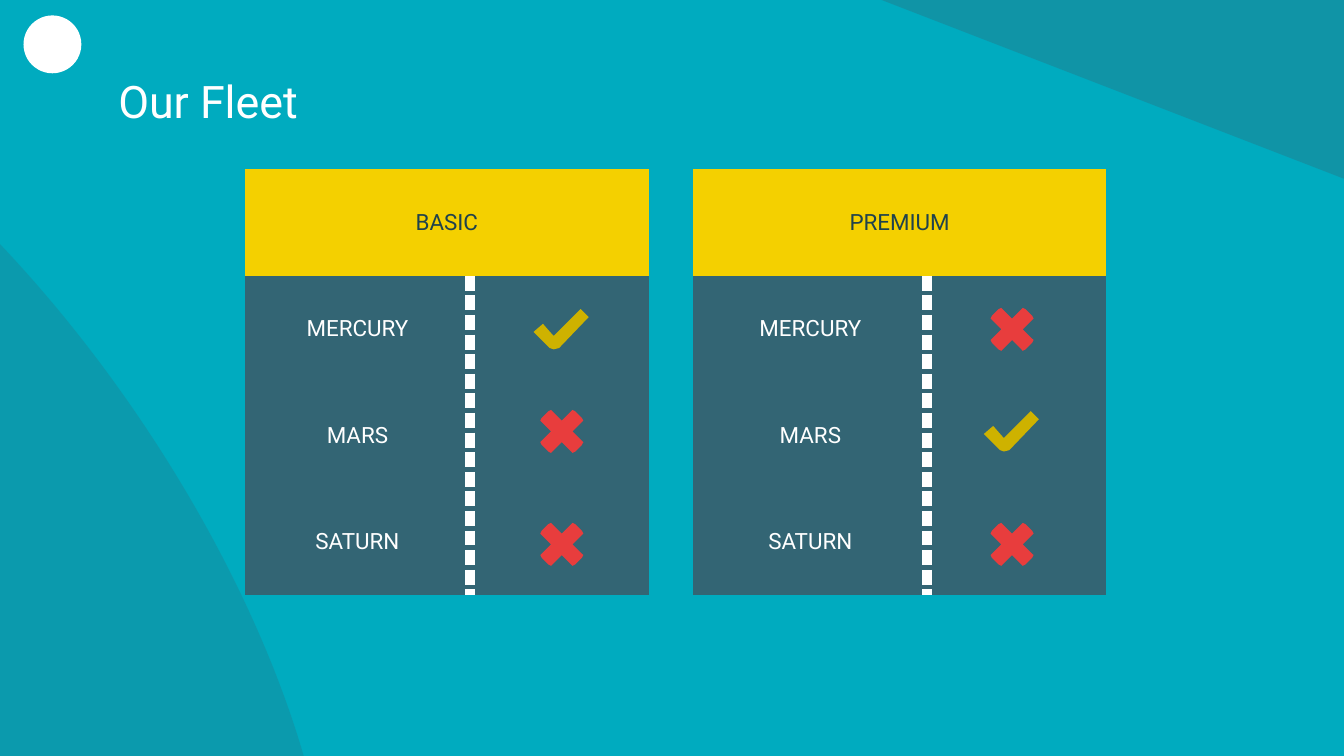
"""Build the fleet comparison slide with two plan tables."""
from lxml import etree
from pptx import Presentation
from pptx import util as u
from pptx.dml.color import RGBColor
from pptx.enum import shapes, text
from pptx.oxml.ns import qn

WHITE = RGBColor(0xFF, 0xFF, 0xFF)
CYAN = RGBColor(0x00, 0xAB, 0xBF)
SLATE = RGBColor(0x33, 0x65, 0x74)
INK = RGBColor(0x1F, 0x42, 0x4C)
YELLOW = RGBColor(0xF4, 0xD0, 0x00)
GOLD = RGBColor(0xCE, 0xB2, 0x00)
RED = RGBColor(0xE8, 0x3D, 0x3D)
FONT = "Roboto"
NO_STYLE = "{2D5ABB26-0587-4C30-8999-92F81FD0307C}"

TITLE = "Our Fleet"
PLANETS = ["MERCURY", "MARS", "SATURN"]
PLANS = [
    {"name": "BASIC", "left": 1.82, "cols": (1.68, 1.33), "icon_x": 4.18,
     "included": (True, False, False)},
    {"name": "PREMIUM", "left": 5.16, "cols": (1.74, 1.33), "icon_x": 7.53,
     "included": (False, True, False)},
]
SLIDE_W = 10
SLIDE_H = SLIDE_W * 9 / 16
TABLE_TOP, TABLE_H = 1.26, 3.17
ICON_ROWS = (2.45, 3.21, 4.05)

CHECK = [(0.14, -0.15), (-0.05, 0.04), (-0.06, 0.05), (-0.07, 0.04), (-0.14, -0.04),
         (-0.21, 0.02), (-0.09, 0.14), (-0.06, 0.15), (-0.02, 0.14), (0.2, -0.09)]
ARM = [(0, -0.08), (0.07, -0.15), (0.08, -0.16), (0.1, -0.15),
       (0.15, -0.1), (0.16, -0.08), (0.15, -0.07)]
CROSS = (ARM + [(-y, x) for x, y in ARM] + [(-x, -y) for x, y in ARM]
         + [(y, -x) for x, y in ARM])


def write(tf, words, size=12, color=WHITE, align=text.PP_ALIGN.CENTER, inset=(0.07, 0.06)):
    tf.word_wrap = True
    tf.margin_left = tf.margin_right = u.Inches(inset[0])
    tf.margin_top = tf.margin_bottom = u.Inches(inset[1])
    p = tf.paragraphs[0]
    p.alignment = align
    r = p.add_run()
    r.text = words
    r.font.size, r.font.name, r.font.color.rgb = u.Pt(size), FONT, color


def paint(sp, color, alpha=None):
    sp.shadow.inherit = False
    sp.fill.solid()
    sp.fill.fore_color.rgb = color
    sp.line.fill.background()
    if alpha:
        clr = sp._element.spPr.find(".//" + qn("a:srgbClr"))
        etree.SubElement(clr, qn("a:alpha"), val=str(alpha * 1000))


def add_shape(slide, kind, box, color, alpha=None, rotation=0):
    sp = slide.shapes.add_shape(kind, *map(u.Inches, box))
    sp.rotation = rotation
    paint(sp, color, alpha)
    return sp


def add_icon(slide, points, x, y, color):
    pts = [(u.Inches(x + dx), u.Inches(y + dy)) for dx, dy in points]
    fb = slide.shapes.build_freeform(*pts[0])
    fb.add_line_segments(pts[1:], close=True)
    paint(fb.convert_to_shape(), color)


def dash_edge(cell, side):
    ln = etree.Element(qn("a:" + side), w=str(u.Pt(6)))
    fill = etree.SubElement(ln, qn("a:solidFill"))
    etree.SubElement(fill, qn("a:srgbClr"), val=str(WHITE))
    etree.SubElement(ln, qn("a:prstDash"), val="dash")
    cell._tc.get_or_add_tcPr().insert(0, ln)


def add_plan(slide, plan):
    rows = len(PLANETS) + 1
    box = (plan["left"], TABLE_TOP, sum(plan["cols"]), TABLE_H)
    table = slide.shapes.add_table(rows, 2, *map(u.Inches, box)).table
    table._tbl.tblPr.find(qn("a:tableStyleId")).text = NO_STYLE
    table.first_row = table.horz_banding = False
    for col, width in zip(table.columns, plan["cols"]):
        col.width = u.Inches(width)
    for i, row in enumerate(table.rows):
        row.height = u.Inches(TABLE_H / rows)
        for cell in row.cells:
            cell.fill.solid()
            cell.fill.fore_color.rgb = SLATE if i else YELLOW
            cell.vertical_anchor = text.MSO_ANCHOR.MIDDLE
    head = table.cell(0, 0)
    head.merge(table.cell(0, 1))
    write(head.text_frame, plan["name"], color=INK, inset=(0.1, 0.1))
    for i, planet in enumerate(PLANETS, 1):
        write(table.cell(i, 0).text_frame, planet)
        dash_edge(table.cell(i, 0), "lnR")
        dash_edge(table.cell(i, 1), "lnL")


def main():
    prs = Presentation()
    prs.slide_width, prs.slide_height = u.Inches(SLIDE_W), u.Inches(SLIDE_H)
    slide = prs.slides.add_slide(prs.slide_layouts[5])
    slide.background.fill.solid()
    slide.background.fill.fore_color.rgb = CYAN

    kinds = shapes.MSO_SHAPE
    add_shape(slide, kinds.RIGHT_TRIANGLE, (6.56, 0, 3.44, 1.33), SLATE, 32, 180)
    add_shape(slide, kinds.OVAL, (-5.53, 2.13, 9.54, 4.27), SLATE, 23, 55.5)
    dot = add_shape(slide, kinds.OVAL, (0.18, 0.12, 0.42, 0.42), WHITE)
    dot.line.color.rgb, dot.line.width = WHITE, u.Pt(0.75)

    title = slide.shapes.title
    title.left, title.top, title.width, title.height = map(u.Inches, (0.78, 0.43, 8.44, 0.63))
    title.text_frame.vertical_anchor = text.MSO_ANCHOR.MIDDLE
    write(title.text_frame, TITLE, size=24, align=text.PP_ALIGN.LEFT, inset=(0.1, 0.1))

    for plan in PLANS:
        add_plan(slide, plan)
    for plan in PLANS:
        for y, included in zip(ICON_ROWS, plan["included"]):
            points, color = (CHECK, GOLD) if included else (CROSS, RED)
            add_icon(slide, points, plan["icon_x"], y, color)
    prs.save("out.pptx")


if __name__ == "__main__":
    main()
